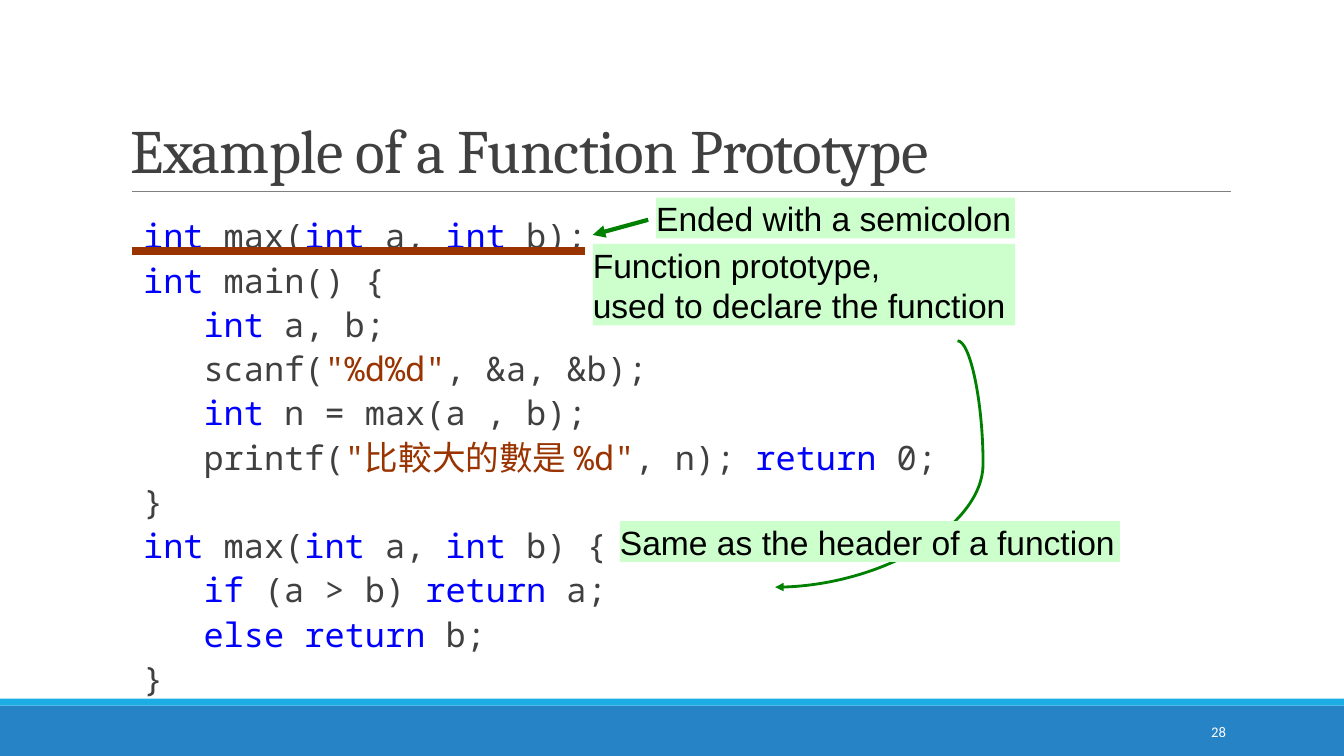
from pptx import Presentation
from pptx.dml.color import RGBColor
from pptx.enum.shapes import MSO_CONNECTOR, MSO_SHAPE
from pptx.enum.text import MSO_ANCHOR, PP_ALIGN
from pptx.oxml.ns import qn
from pptx.util import Pt
from lxml import etree

STRAIGHT, CURVE = MSO_CONNECTOR.STRAIGHT, MSO_CONNECTOR.CURVE
RECTANGLE = MSO_SHAPE.RECTANGLE
TOP, MIDDLE, BOTTOM = MSO_ANCHOR.TOP, MSO_ANCHOR.MIDDLE, MSO_ANCHOR.BOTTOM
LEFT, RIGHT = PP_ALIGN.LEFT, PP_ALIGN.RIGHT

BLACK = RGBColor(0x00, 0x00, 0x00)
WHITE = RGBColor(0xFF, 0xFF, 0xFF)
DARK_GRAY = RGBColor(0x40, 0x40, 0x40)
RULE_GRAY = RGBColor(0x80, 0x80, 0x80)
FOOTER_BLUE = RGBColor(0x26, 0x83, 0xC6)
STRIPE_BLUE = RGBColor(0x1C, 0xAD, 0xE4)
KEYWORD_BLUE = RGBColor(0x00, 0x00, 0xFF)
STRING_BROWN = RGBColor(0x99, 0x33, 0x00)
ARROW_GREEN = RGBColor(0x00, 0x80, 0x00)
NOTE_GREEN = RGBColor(0xCC, 0xFF, 0xCC)

TITLE_FONT = {"name": "Cambria", "size": Pt(44)}
CODE_FONT = {"name": "Noto Sans Mono", "size": Pt(24)}
NOTE_FONT = {"name": "Arial", "size": Pt(24)}
NUMBER_FONT = {"name": "Calibri", "size": Pt(10.5)}

CODE_MARGIN, CODE_HANGING, CODE_INDENT = 30.24, 14.4, 43.2

# Indent level and text of each line; backticks enclose keywords and strings.
CODE_LINES = [
    (0, "`int` max(`int` a, `int` b);"),
    (0, "`int` main() {"),
    (1, "`int` a, b;"),
    (1, 'scanf(`"%d%d"`, &a, &b);'),
    (1, "`int `n = max(a , b);"),
    (1, 'printf(`"比較大的數是 %d"`, n); `return` 0;'),
    (0, "}"),
    (0, "`int` max(`int` a, `int` b) {"),
    (1, "`if` (a > b) `return` a;"),
    (1, "`else return` b;"),
    (0, "}"),
]

# Left, top, width, height and lines of each note.
PROTOTYPE_NOTE = (423.4, 174.2, 301.7, 58.3, ["Function prototype,", "used to declare the function"])
HEADER_NOTE = (442.8, 372.2, 357.1, 29.2, ["Same as the header of a function"])
SEMICOLON_NOTE = (468.7, 141.1, 256.3, 29.2, ["Ended with a semicolon"])


def set_attributes(target, values):
    for name, value in values.items():
        setattr(target, name, value)


def add_run(paragraph, text, font, color):
    run = paragraph.add_run()
    run.text = text
    set_attributes(run.font, font)
    run.font.color.rgb = color
    return run


def add_paragraphs(frame, count):
    """Return count paragraphs, the first being the one the frame already has."""
    return [frame.paragraphs[0]] + [frame.add_paragraph() for _ in range(count - 1)]


def add_text_box(slide, left, top, width, height, **frame_format):
    frame = slide.shapes.add_textbox(Pt(left), Pt(top), Pt(width), Pt(height)).text_frame
    set_attributes(frame, {"word_wrap": True, **frame_format})
    return frame


def add_rectangle(slide, left, top, width, height, color):
    shape = slide.shapes.add_shape(RECTANGLE, Pt(left), Pt(top), Pt(width), Pt(height))
    shape.shadow.inherit = False
    shape.fill.solid()
    shape.fill.fore_color.rgb = color
    shape.line.fill.background()
    return shape


def add_line(slide, kind, start, end, color, width, arrow=False):
    points = [Pt(value) for value in (*start, *end)]
    connector = slide.shapes.add_connector(kind, *points)
    connector.line.color.rgb = color
    connector.line.width = Pt(width)
    properties = connector._element.spPr
    etree.SubElement(properties, qn("a:effectLst"))
    if arrow:
        etree.SubElement(properties.find(qn("a:ln")), qn("a:tailEnd"), type="triangle")
    return connector


def set_bend(connector, bend):
    """Place the middle of a curved connector at this share of its width."""
    geometry = connector._element.spPr.find(qn("a:prstGeom"))
    adjustments = geometry.get_or_add_avLst()
    formula = f"val {round(bend * 100000)}"
    etree.SubElement(adjustments, qn("a:gd"), name="adj1", fmla=formula)


def add_title(slide, text):
    frame = add_text_box(slide, 86.4, 22.3, 792, 114.5, vertical_anchor=BOTTOM)
    paragraph = frame.paragraphs[0]
    paragraph.line_spacing = 0.85
    run = add_run(paragraph, text, TITLE_FONT, DARK_GRAY)
    run.font._element.set("spc", "-50")


def add_code(slide):
    frame = add_text_box(slide, 86.4, 147.4, 792, 355, margin_left=0, margin_right=0)
    for paragraph, (level, text) in zip(add_paragraphs(frame, len(CODE_LINES)), CODE_LINES):
        paragraph.line_spacing = Pt(31.6)
        properties = paragraph._p.get_or_add_pPr()
        properties.set("marL", str(Pt(CODE_MARGIN + level * CODE_INDENT)))
        properties.set("indent", str(Pt(-CODE_HANGING)))
        for index, part in enumerate(text.split("`")):
            if index % 2 == 0:
                color = DARK_GRAY
            else:
                color = STRING_BROWN if part.startswith('"') else KEYWORD_BLUE
            if part:
                add_run(paragraph, part, CODE_FONT, color)


def add_note(slide, left, top, width, height, lines):
    frame = add_rectangle(slide, left, top, width, height, NOTE_GREEN).text_frame
    set_attributes(frame, {
        "margin_left": 0, "margin_right": 0, "margin_top": 0, "margin_bottom": 0,
        "word_wrap": len(lines) > 1, "vertical_anchor": TOP,
    })
    for paragraph, text in zip(add_paragraphs(frame, len(lines)), lines):
        set_attributes(paragraph, {"alignment": LEFT, "line_spacing": Pt(29.2)})
        add_run(paragraph, text, NOTE_FONT, BLACK)


def add_page_number(slide, number):
    frame = add_text_box(slide, 779.8, 508.3, 103, 28.8, vertical_anchor=MIDDLE)
    frame.paragraphs[0].alignment = RIGHT
    add_run(frame.paragraphs[0], number, NUMBER_FONT, WHITE)


def main():
    presentation = Presentation()
    set_attributes(presentation, {"slide_width": Pt(960), "slide_height": Pt(540)})
    slide = presentation.slides.add_slide(presentation.slide_layouts[6])

    add_rectangle(slide, 0, 504, 960, 36, FOOTER_BLUE)
    add_rectangle(slide, 0, 499, 960, 5, STRIPE_BLUE)
    add_line(slide, STRAIGHT, (94.3, 136.8), (879, 136.8), RULE_GRAY, 0.5)
    add_title(slide, "Example of a Function Prototype")
    add_code(slide)
    add_page_number(slide, "28")

    add_line(slide, STRAIGHT, (94.3, 179.3), (417.6, 179.3), STRING_BROWN, 6)
    add_note(slide, *PROTOTYPE_NOTE)
    curve = add_line(slide, CURVE, (684, 243.4), (553.7, 419.4), ARROW_GREEN, 2, arrow=True)
    set_bend(curve, -0.14)
    add_note(slide, *HEADER_NOTE)
    add_line(slide, STRAIGHT, (463, 157), (423.4, 167.8), ARROW_GREEN, 3, arrow=True)
    add_note(slide, *SEMICOLON_NOTE)

    presentation.save("out.pptx")


if __name__ == "__main__":
    main()
